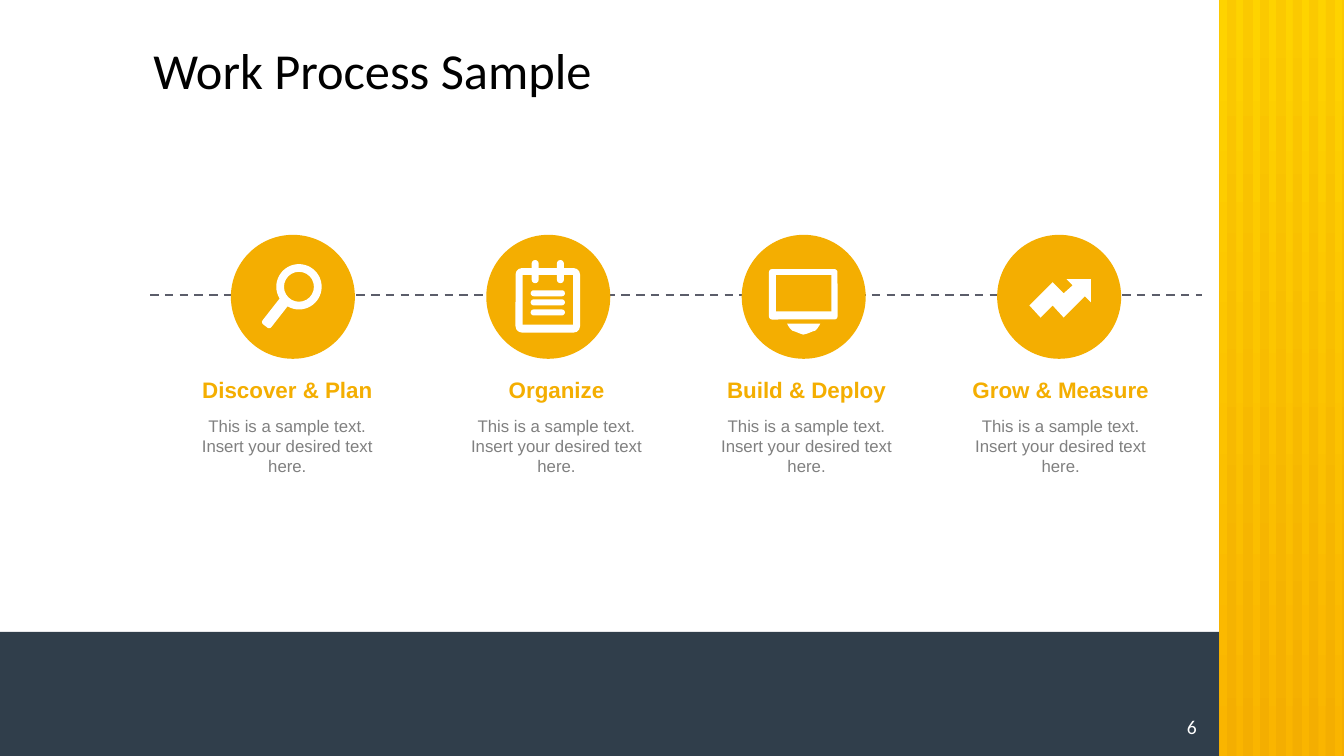
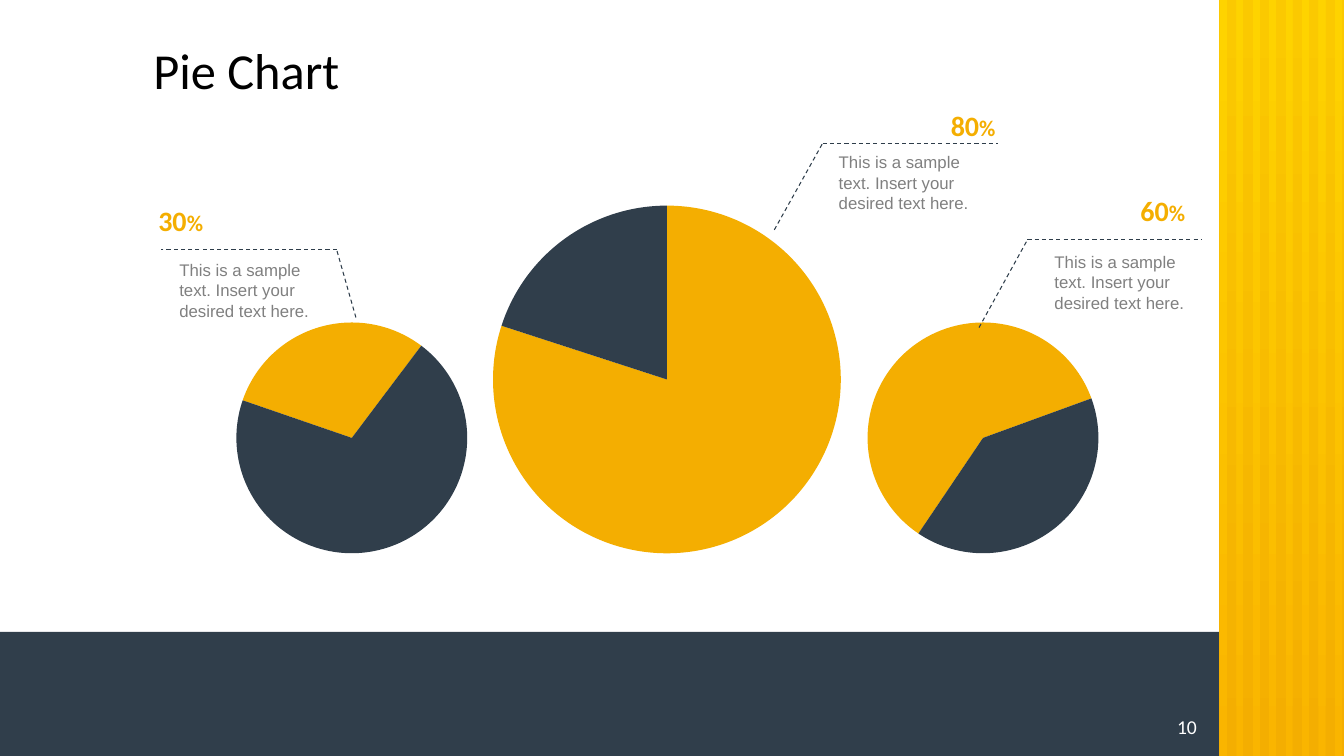
from lxml.etree import SubElement
from pptx import Presentation
from pptx.chart.data import CategoryChartData
from pptx.dml.color import RGBColor
from pptx.enum.chart import XL_CHART_TYPE as ChartType
from pptx.enum.dml import MSO_LINE as Dash
from pptx.enum.shapes import MSO_CONNECTOR as Connector, MSO_SHAPE as Shape
from pptx.enum.text import MSO_ANCHOR as Anchor, MSO_AUTO_SIZE as AutoSize, PP_ALIGN as Align
from pptx.oxml.ns import qn
from pptx.util import Inches, Pt

AMBER = RGBColor(0xF4, 0xAE, 0x01)
GOLD = RGBColor(0xFB, 0xC9, 0x01)
STRIPE_LOW = RGBColor(0xFA, 0xB5, 0x00)
STRIPE_HIGH = RGBColor(0xFE, 0xD3, 0x00)
NAVY = RGBColor(0x30, 0x3E, 0x4B)
CALLOUT_LINE = RGBColor(0x2E, 0x3D, 0x4A)
TIMELINE = RGBColor(0x5B, 0x5D, 0x6A)
GREY = RGBColor(0x80, 0x80, 0x80)
BLACK = RGBColor(0, 0, 0)
WHITE = RGBColor(0xFF, 0xFF, 0xFF)

TITLE = ({"name": "Calibri", "size": Pt(36), "bold": False}, BLACK)
NUMBER = ({"name": "Calibri", "size": Pt(14)}, WHITE)
BODY = ({"name": "Arial", "size": Pt(12)}, GREY)
HEADING = ({"name": "Arial", "size": Pt(16), "bold": True}, AMBER)
RATE = ({"name": "Calibri", "size": Pt(20), "bold": True}, AMBER)
PERCENT = ({"name": "Calibri", "size": Pt(16), "bold": True}, AMBER)

SAMPLE = "This is a sample text. Insert your desired text here."
CIRCLE_TOP, CIRCLE_SIZE, CIRCLE_STEP = 2.33, 1.23, 7.6 / 3
PIE_MARGIN = 0.28

MAGNIFIER = [
    (Shape.DONUT, (0.45, 0.29, 0.45, 0.45), WHITE, 0.17, 0),
    (Shape.ROUNDED_RECTANGLE, (0.39, 0.6, 0.11, 0.34), WHITE, 0.25, 38),
]
CLIPBOARD = [
    (Shape.ROUNDED_RECTANGLE, (0.29, 0.33, 0.64, 0.64), WHITE, 0.1, 0),
    (Shape.RECTANGLE, (0.36, 0.4, 0.5, 0.49), AMBER, None, 0),
    *[(Shape.ROUNDED_RECTANGLE, (x, 0.25, 0.07, 0.23), WHITE, 0.5, 0) for x in (0.45, 0.7)],
    *[(Shape.ROUNDED_RECTANGLE, (0.44, y, 0.34, 0.06), WHITE, 0.5, 0) for y in (0.55, 0.64, 0.74)],
]
MONITOR = [
    (Shape.ROUNDED_RECTANGLE, (0.27, 0.34, 0.68, 0.5), WHITE, 0.06, 0),
    (Shape.RECTANGLE, (0.34, 0.4, 0.55, 0.36), AMBER, None, 0),
]
STAND = [(0.45, 0.88), (0.78, 0.88), (0.77, 0.9), (0.75, 0.93), (0.73, 0.95), (0.7, 0.96),
         (0.65, 0.98), (0.61, 0.99), (0.58, 0.98), (0.53, 0.96), (0.5, 0.95), (0.48, 0.93),
         (0.46, 0.9)]
TREND = [(0.69, 0.44), (0.93, 0.44), (0.93, 0.67), (0.87, 0.61), (0.66, 0.82), (0.55, 0.7),
         (0.43, 0.82), (0.32, 0.7), (0.55, 0.47), (0.66, 0.58), (0.75, 0.5)]

STEPS = [
    ("Discover & Plan", 2.85, MAGNIFIER, None),
    ("Organize", 5.52, CLIPBOARD, None),
    ("Build & Deploy", 8, MONITOR, STAND),
    ("Grow & Measure", 10.52, [], TREND),
]
PIES = [
    (80, 0, (3.82, 1.9, 5.59, 3.73)),
    (30, 289, (1.56, 3.06, 3.86, 2.57)),
    (60, 214, (7.82, 3.06, 3.86, 2.57)),
]
CALLOUTS = [
    ("80", [(7.68, 2.28), (8.16, 1.42), (9.9, 1.42)], (9.38, 1.03), (8.22, 1.46)),
    ("30", [(3.53, 3.15), (3.34, 2.48), (1.6, 2.48)], (1.52, 1.97), (1.68, 2.53)),
    ("60", [(9.71, 3.25), (10.19, 2.38), (11.92, 2.38)], (11.26, 1.87), (10.36, 2.45)),
]


def inches(values):
    """Turn plain numbers into lengths."""
    return [Inches(value) for value in values]


class Deck:
    """Holds the presentation, its style and the current page."""

    def __init__(self):
        """Start a wide presentation."""
        self.show = Presentation()
        self.show.slide_width, self.show.slide_height = inches((13.33, 7.5))
        self.page = None

    def new_page(self, title, number):
        """Add a page with bands, title and page number."""
        self.page = self.show.slides.add_slide(self.show.slide_layouts[5])
        self.shape(Shape.RECTANGLE, (0, 6.27, 12.09, 1.23), NAVY)
        self.gradient((12.09, 0, 1.24, 7.5), AMBER, GOLD)
        for index in range(8):
            self.gradient((12.1 + index * 1.14 / 7, 0, 0.07, 7.5), STRIPE_LOW, STRIPE_HIGH)
        box = self.page.shapes.title
        box.left, box.top, box.width, box.height = inches((1.39, 0.3, 10.71, 0.78))
        self.fill_text(box, [(title, TITLE)], anchor=Anchor.MIDDLE, margins=(0.13, 0.07))
        self.text((11.47, 7.04, 0.5, 0.34), [(number, NUMBER)], align=Align.RIGHT)

    def shape(self, kind, place, fill, adjust=None, rotation=0):
        """Add a flat preset shape."""
        shape = self.page.shapes.add_shape(kind, *inches(place))
        if adjust is not None:
            shape.adjustments[0] = adjust
        shape.rotation = rotation
        return self.flatten(shape, fill)

    def flatten(self, shape, fill):
        """Give a shape a plain fill without line or shadow."""
        shape.shadow.inherit = False
        shape.fill.solid()
        shape.fill.fore_color.rgb = fill
        shape.line.fill.background()
        return shape

    def gradient(self, place, low, high):
        """Add a rectangle that changes colour from bottom to top."""
        fill = self.shape(Shape.RECTANGLE, place, low).fill
        fill.gradient()
        fill.gradient_angle = 90
        for stop, colour in zip(fill.gradient_stops, (low, high)):
            stop.color.rgb = colour

    def outline(self, points, fill):
        """Add a closed polygon."""
        start, *rest = [inches(point) for point in points]
        builder = self.page.shapes.build_freeform(*start)
        builder.add_line_segments(rest, close=True)
        self.flatten(builder.convert_to_shape(), fill)

    def line(self, start, end, colour, width):
        """Add a dashed straight line."""
        line = self.page.shapes.add_connector(Connector.STRAIGHT, *inches(start + end))
        line.line.color.rgb = colour
        for name, value in {"width": Pt(width), "dash_style": Dash.DASH}.items():
            setattr(line.line, name, value)
        SubElement(line.element.spPr, qn("a:effectLst"))

    def text(self, place, spans, **layout):
        """Add a text box."""
        self.fill_text(self.page.shapes.add_textbox(*inches(place)), spans, **layout)

    def fill_text(self, box, spans, align=Align.LEFT, anchor=Anchor.TOP, wrap=True,
                  margins=(0.1, 0.05)):
        """Fill a box with one paragraph of styled spans."""
        side, edge = inches(margins)
        frame = box.text_frame
        layout = {"auto_size": AutoSize.NONE, "word_wrap": wrap, "vertical_anchor": anchor,
                  "margin_left": side, "margin_right": side,
                  "margin_top": edge, "margin_bottom": edge}
        for name, value in layout.items():
            setattr(frame, name, value)
        para = frame.paragraphs[0]
        para.alignment = align
        for words, (style, colour) in spans:
            span = para.add_run()
            span.text = words
            span.font.color.rgb = colour
            for name, value in style.items():
                setattr(span.font, name, value)

    def pie(self, share, start, place):
        """Add a two-part pie chart turned to a start angle."""
        data = CategoryChartData()
        data.categories = ["1", "2"]
        data.add_series("Series 1", (share, 100 - share))
        chart = self.page.shapes.add_chart(ChartType.PIE, *inches(place), data).chart
        chart.has_legend = chart.has_title = False
        for name, value in {"name": "Calibri", "size": Pt(18)}.items():
            setattr(chart.font, name, value)
        chart.font.color.rgb = BLACK
        plot = chart.plots[0]
        plot.vary_by_categories = True
        for index, colour in enumerate((AMBER, NAVY)):
            part = plot.series[0].points[index].format
            part.fill.solid()
            part.fill.fore_color.rgb = colour
            part.line.fill.background()
        area = chart.element.find(".//" + qn("c:plotArea"))
        pie = area.find(qn("c:pieChart"))
        angle = pie.find(qn("c:firstSliceAng"))
        if angle is None:
            angle = SubElement(pie, qn("c:firstSliceAng"))
        angle.set("val", str(start))
        self.fit_plot(area, place[2:])

    def fit_plot(self, area, size):
        """Centre a round plot in its frame with an even margin."""
        layout = area.find(qn("c:layout"))
        if layout is None:
            layout = SubElement(area, qn("c:layout"))
            area.insert(0, layout)
        manual = SubElement(layout, qn("c:manualLayout"))
        diameter = size[1] - PIE_MARGIN
        wide, high = [round(diameter / length, 4) for length in size]
        values = {"layoutTarget": "inner", "xMode": "edge", "yMode": "edge",
                  "x": (1 - wide) / 2, "y": (1 - high) / 2, "w": wide, "h": high}
        for name, value in values.items():
            SubElement(manual, qn("c:" + name)).set("val", str(value))

    def step(self, left, heading, centre, icon, polygon):
        """Add a circle with its icon, heading and text."""
        self.shape(Shape.OVAL, (left, CIRCLE_TOP, CIRCLE_SIZE, CIRCLE_SIZE), AMBER)
        for kind, (x, y, width, height), fill, adjust, rotation in icon:
            self.shape(kind, (left + x, CIRCLE_TOP + y, width, height), fill, adjust, rotation)
        if polygon:
            self.outline([(left + x, CIRCLE_TOP + y) for x, y in polygon], WHITE)
        self.text((centre - 1.1, 3.68, 2.2, 0.37), [(heading, HEADING)],
                  align=Align.CENTER, anchor=Anchor.BOTTOM)
        self.text((centre - 1.1, 4.07, 2.2, 0.71), [(SAMPLE, BODY)], align=Align.CENTER)

    def callout(self, rate, corners, rate_at, text_at):
        """Add a bent leader line with a rate and a text."""
        for start, end in zip(corners, corners[1:]):
            self.line(start, end, CALLOUT_LINE, 0.75)
        self.text((*rate_at, 0.55, 0.44), [(rate, RATE), ("%", PERCENT)],
                  wrap=False, margins=(0.05, 0.05))
        self.text((*text_at, 1.52, 0.71), [(SAMPLE, BODY)])


def main():
    """Build both pages and save the deck."""
    deck = Deck()
    deck.new_page("Work Process Sample", "6")
    deck.line((1.49, 2.93), (11.92, 2.93), TIMELINE, 1.5)
    for index, step in enumerate(STEPS):
        deck.step(2.29 + index * CIRCLE_STEP, *step)
    deck.new_page("Pie Chart", "10")
    for pie in PIES:
        deck.pie(*pie)
    for callout in CALLOUTS:
        deck.callout(*callout)
    deck.show.save("out.pptx")


if __name__ == "__main__":
    main()
